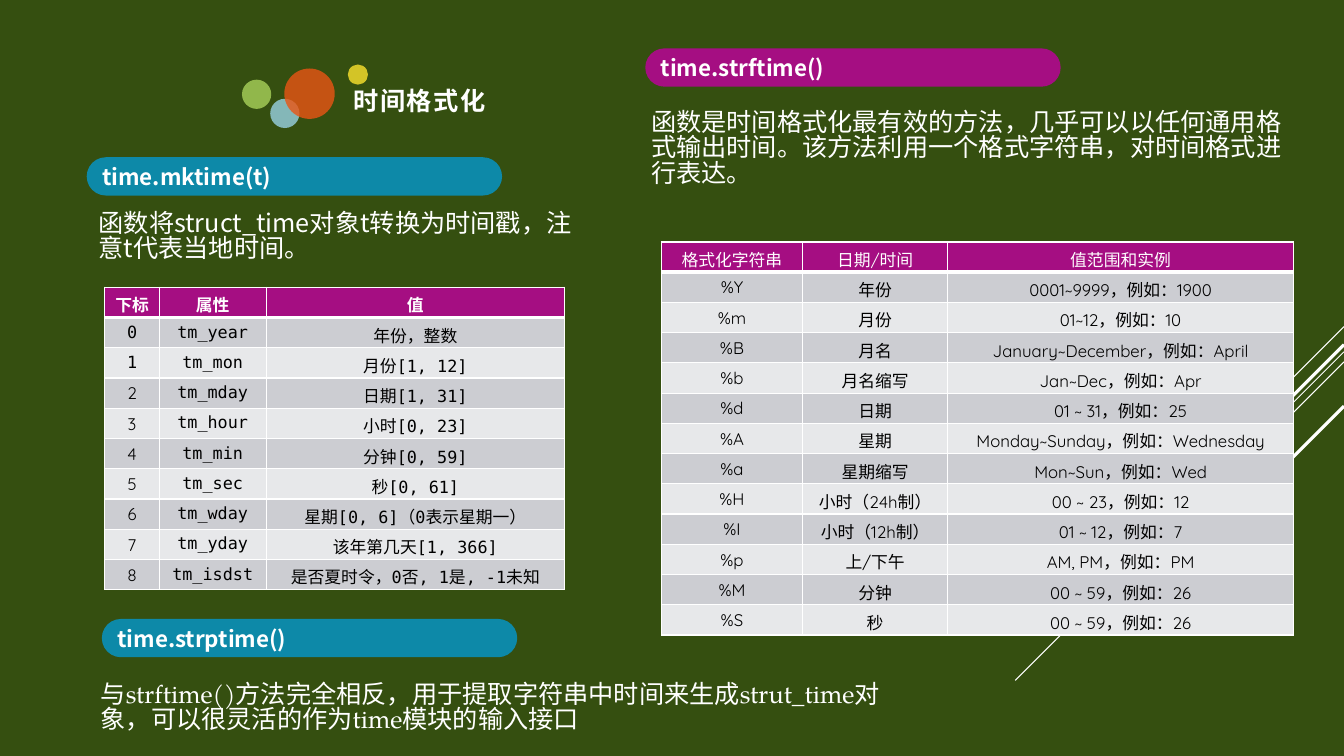
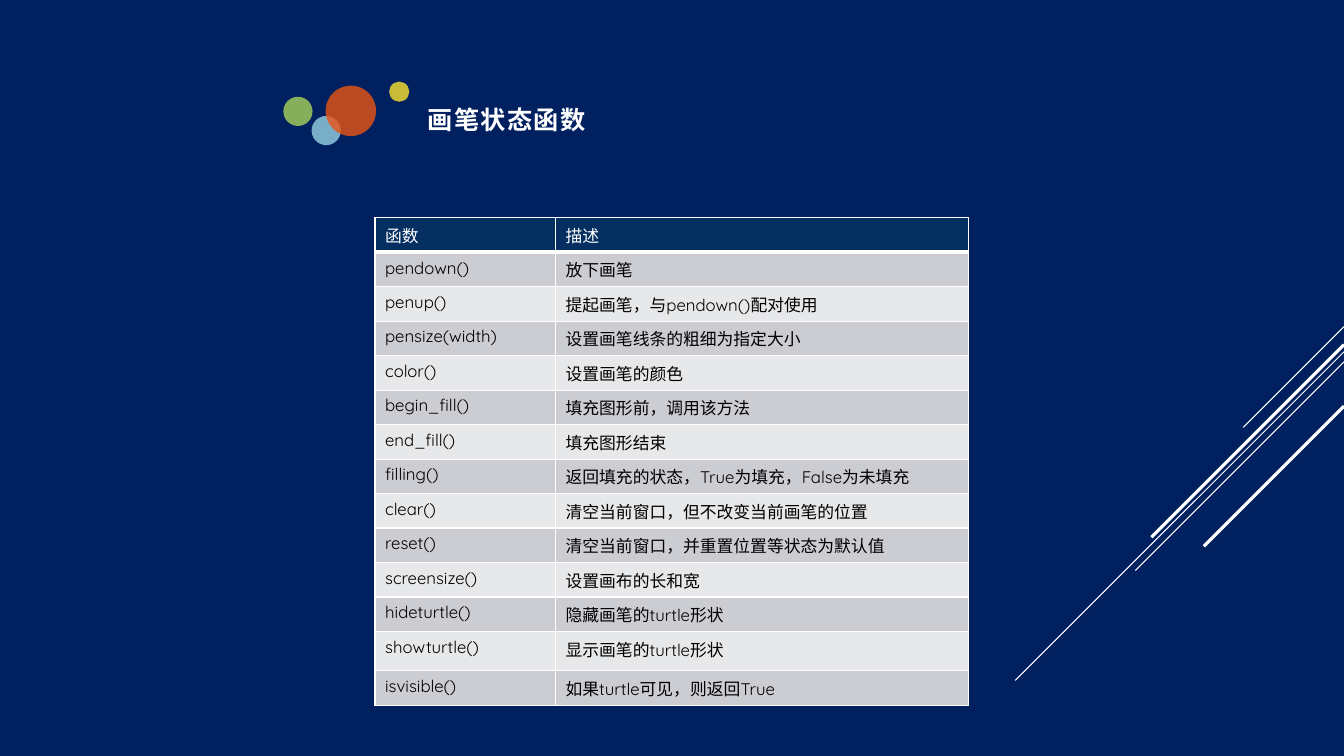
from dataclasses import dataclass, field
from itertools import groupby

from lxml import etree
from pptx import Presentation
from pptx import util as u
from pptx.dml.color import RGBColor
from pptx.enum import shapes, text
from pptx.oxml import ns
from pptx.shapes.autoshape import Shape
from pptx.slide import Slide
from pptx.table import _Cell as Cell
from pptx.text.text import TextFrame


@dataclass(frozen=True)
class Theme:
    white: str = "FFFFFF"
    black: str = "000000"
    green: str = "354F10"
    navy: str = "002060"
    magenta: str = "A50E82"
    teal: str = "0D89A8"
    navy_header: str = "052F61"
    bands: tuple[str, str] = ("CCCDD2", "E7E8EA")
    cjk: str = "Noto Sans CJK SC"
    sans: str = "Quicksand"
    mono: str = "DejaVu Sans Mono"
    serif: str = "TeX Gyre Pagella"
    title_size: float = 18
    body_size: float = 18
    pill_size: float = 16
    cell_size: float = 12
    line_spacing: float = 0.83


THEME = Theme()


@dataclass(frozen=True)
class Diagonal:
    start_y: float
    run: float
    weight: float


@dataclass(frozen=True)
class Bubble:
    dx: float
    dy: float
    diameter: float
    color: str


@dataclass(frozen=True)
class Pill:
    left: float
    top: float
    label: str
    color: str


@dataclass(frozen=True)
class Passage:
    left: float
    top: float
    width: float
    height: float
    words: str
    latin: str = THEME.cjk


@dataclass(frozen=True)
class Grid:
    left: float
    top: float
    columns: tuple[float, ...]
    row_height: float
    rows: list[tuple[str, ...]]
    header_color: str
    column_fonts: tuple[str, ...]
    header_bold: bool = False
    align: text.PP_ALIGN = text.PP_ALIGN.CENTER
    bottom_margin: float = 0.01
    tall_rows: dict[int, float] = field(default_factory=dict)
    font_exceptions: dict[str, str] = field(default_factory=dict)


SLIDE_WIDTH, SLIDE_HEIGHT = 13.33, 7.5
DIAGONALS = [
    Diagonal(3.24, 1.0, 0.75),
    Diagonal(3.49, 3.26, 0.75),
    Diagonal(3.59, 2.07, 0.75),
    Diagonal(3.42, 1.91, 2.25),
    Diagonal(4.03, 1.39, 2.25),
]
BUBBLES = [
    Bubble(1.05, 0, 0.2, "FBE22D"),
    Bubble(0, 0.15, 0.29, "A9D25A"),
    Bubble(0.28, 0.34, 0.29, "98D2E3"),
    Bubble(0.42, 0.04, 0.5, "EA5514"),
]

STRUCT_TIME = Grid(
    1.04, 2.85, (0.54, 1.06, 2.96), 0.3,
    [
        ("下标", "属性", "值"),
        ("0", "tm_year", "年份，整数"),
        ("1", "tm_mon", "月份[1, 12]"),
        ("2", "tm_mday", "日期[1, 31]"),
        ("3", "tm_hour", "小时[0, 23]"),
        ("4", "tm_min", "分钟[0, 59]"),
        ("5", "tm_sec", "秒[0, 61]"),
        ("6", "tm_wday", "星期[0, 6]（0表示星期一）"),
        ("7", "tm_yday", "该年第几天[1, 366]"),
        ("8", "tm_isdst", "是否夏时令，0否, 1是, -1未知"),
    ],
    THEME.magenta, (THEME.sans, THEME.mono, THEME.mono), header_bold=True,
    font_exceptions={"0": THEME.mono, "1": THEME.mono},
)
FORMAT_CODES = Grid(
    6.56, 2.4, (1.4, 1.44, 3.43), 0.3,
    [
        ("格式化字符串", "日期/时间", "值范围和实例"),
        ("%Y", "年份", "0001~9999，例如：1900"),
        ("%m", "月份", "01~12，例如：10"),
        ("%B", "月名", "January~December，例如：April"),
        ("%b", "月名缩写", "Jan~Dec，例如：Apr"),
        ("%d", "日期", "01 ~ 31，例如：25"),
        ("%A", "星期", "Monday~Sunday，例如：Wednesday"),
        ("%a", "星期缩写", "Mon~Sun，例如：Wed"),
        ("%H", "小时（24h制）", "00 ~ 23，例如：12"),
        ("%I", "小时（12h制）", "01 ~ 12，例如：7"),
        ("%p", "上/下午", "AM, PM，例如：PM"),
        ("%M", "分钟", "00 ~ 59，例如：26"),
        ("%S", "秒", "00 ~ 59，例如：26"),
    ],
    THEME.magenta, (THEME.sans,) * 3,
)
PEN_FUNCTIONS = Grid(
    3.72, 2.16, (1.79, 4.1), 0.34,
    [
        ("函数", "描述"),
        ("pendown()", "放下画笔"),
        ("penup()", "提起画笔，与pendown()配对使用"),
        ("pensize(width)", "设置画笔线条的粗细为指定大小"),
        ("color()", "设置画笔的颜色"),
        ("begin_fill()", "填充图形前，调用该方法"),
        ("end_fill()", "填充图形结束"),
        ("filling()", "返回填充的状态，True为填充，False为未填充"),
        ("clear()", "清空当前窗口，但不改变当前画笔的位置"),
        ("reset()", "清空当前窗口，并重置位置等状态为默认值"),
        ("screensize()", "设置画布的长和宽"),
        ("hideturtle()", "隐藏画笔的turtle形状"),
        ("showturtle()", "显示画笔的turtle形状"),
        ("isvisible()", "如果turtle可见，则返回True"),
    ],
    THEME.navy_header, (THEME.sans,) * 2, align=text.PP_ALIGN.LEFT,
    bottom_margin=0.05, tall_rows={12: 0.39},
)
PASSAGES = [
    Passage(6.36, 1.06, 6.67, 1.01,
            "函数是时间格式化最有效的方法，几乎可以以任何通用格式输出时间。"
            "该方法利用一个格式字符串，对时间格式进行表达。"),
    Passage(0.9, 6.73, 8.16, 0.71,
            "与strftime()方法完全相反，用于提取字符串中时间来生成strut_time对象，"
            "可以很灵活的作为time模块的输入接口", THEME.serif),
    Passage(0.88, 2.06, 4.91, 0.71,
            "函数将struct_time对象t转换为时间戳，注意t代表当地时间。"),
]
PILLS = [
    Pill(0.86, 1.56, "time.mktime(t)", THEME.teal),
    Pill(6.4, 0.48, "time.strftime()", THEME.magenta),
    Pill(1.01, 6.14, "time.strptime()", THEME.teal),
]


def is_cjk(char: str) -> bool:
    return ord(char) > 0x2E80


def write(frame: TextFrame, words: str, *, size: float, latin: str = THEME.cjk,
          color: str = THEME.white, bold: bool = False, tracking: float = 0,
          align: text.PP_ALIGN = text.PP_ALIGN.LEFT, spacing: float = 1.0) -> None:
    """Write one paragraph, with a run for each stretch of Latin or CJK text."""
    paragraph = frame.paragraphs[0]
    paragraph.alignment = align
    paragraph.line_spacing = spacing
    for cjk, chars in groupby(words, is_cjk):
        run = paragraph.add_run()
        run.text = "".join(chars)
        font = run.font
        font.size, font.bold = u.Pt(size), bold
        font.color.rgb = RGBColor.from_string(color)
        font.name = THEME.cjk if cjk else latin
        properties = run._r.get_or_add_rPr()
        etree.SubElement(properties, ns.qn("a:ea"), typeface=font.name)
        if tracking:
            properties.set("spc", str(round(tracking * 100)))


def add_filled(slide: Slide, kind: shapes.MSO_SHAPE, left: float, top: float,
               width: float, height: float, color: str) -> Shape:
    shape = slide.shapes.add_shape(kind, *map(u.Inches, (left, top, width, height)))
    shape.shadow.inherit = False
    shape.fill.solid()
    shape.fill.fore_color.rgb = RGBColor.from_string(color)
    shape.line.fill.background()
    return shape


def add_diagonal(slide: Slide, diagonal: Diagonal) -> None:
    line = slide.shapes.add_connector(
        shapes.MSO_CONNECTOR.STRAIGHT,
        u.Inches(SLIDE_WIDTH), u.Inches(diagonal.start_y),
        u.Inches(SLIDE_WIDTH - diagonal.run), u.Inches(diagonal.start_y + diagonal.run))
    line.line.color.rgb = RGBColor.from_string(THEME.white)
    line.line.width = u.Pt(diagonal.weight)
    etree.SubElement(line._element.spPr, ns.qn("a:effectLst"))


def add_bubbles(slide: Slide, left: float, top: float) -> None:
    for bubble in BUBBLES:
        circle = add_filled(slide, shapes.MSO_SHAPE.OVAL, left + bubble.dx, top + bubble.dy,
                            bubble.diameter, bubble.diameter, bubble.color)
        tint = circle._element.spPr.find(".//" + ns.qn("a:srgbClr"))
        etree.SubElement(tint, ns.qn("a:alpha"), val="80000")


def add_title(slide: Slide, title: str, left: float, top: float, width: float) -> None:
    box = slide.shapes.add_textbox(*map(u.Inches, (left, top, width, 0.3)))
    frame = box.text_frame
    frame.word_wrap = True
    frame.margin_left = frame.margin_right = frame.margin_top = frame.margin_bottom = 0
    write(frame, title, size=THEME.title_size, bold=True, tracking=1,
          spacing=THEME.line_spacing)


def add_passage(slide: Slide, passage: Passage) -> None:
    box = slide.shapes.add_textbox(*map(u.Inches, (
        passage.left, passage.top, passage.width, passage.height)))
    box.text_frame.word_wrap = True
    write(box.text_frame, passage.words, size=THEME.body_size, latin=passage.latin,
          spacing=THEME.line_spacing)


def add_pill(slide: Slide, pill: Pill) -> None:
    shape = add_filled(slide, shapes.MSO_SHAPE.ROUNDED_RECTANGLE,
                       pill.left, pill.top, 4.12, 0.38, pill.color)
    shape.adjustments[0] = 0.5
    frame = shape.text_frame
    frame.word_wrap = False
    frame.vertical_anchor = text.MSO_ANCHOR.MIDDLE
    write(frame, pill.label, size=THEME.pill_size, bold=True)


def set_borders(cell: Cell, **weights: float) -> None:
    """Draw white borders; weights are points for the sides L, R, T and B, in that order."""
    for side, weight in weights.items():
        border = etree.SubElement(cell._tc.get_or_add_tcPr(), ns.qn(f"a:ln{side}"),
                                  w=str(u.Pt(weight)))
        fill = etree.SubElement(border, ns.qn("a:solidFill"))
        etree.SubElement(fill, ns.qn("a:srgbClr"), val=THEME.white)


def add_grid(slide: Slide, grid: Grid) -> None:
    heights = [grid.tall_rows.get(i, grid.row_height) for i in range(len(grid.rows))]
    table = slide.shapes.add_table(
        len(grid.rows), len(grid.columns), u.Inches(grid.left), u.Inches(grid.top),
        u.Inches(sum(grid.columns)), u.Inches(sum(heights))).table
    for column, width in zip(table.columns, grid.columns):
        column.width = u.Inches(width)
    for i, (entries, height) in enumerate(zip(grid.rows, heights)):
        table.rows[i].height = u.Inches(height)
        header = i == 0
        for j, (entry, latin) in enumerate(zip(entries, grid.column_fonts)):
            cell = table.cell(i, j)
            cell.margin_top, cell.margin_bottom = u.Inches(0.05), u.Inches(grid.bottom_margin)
            set_borders(cell, L=1, R=1, T=3 if i == 1 else 1, B=3 if header else 1)
            cell.fill.solid()
            cell.fill.fore_color.rgb = RGBColor.from_string(
                grid.header_color if header else THEME.bands[(i - 1) % 2])
            write(cell.text_frame, entry, size=THEME.cell_size, align=grid.align,
                  latin=grid.font_exceptions.get(entry, latin),
                  color=THEME.white if header else THEME.black,
                  bold=header and grid.header_bold)


def add_slide(deck: Presentation, background: str) -> Slide:
    slide = deck.slides.add_slide(deck.slide_layouts[6])
    slide.background.fill.solid()
    slide.background.fill.fore_color.rgb = RGBColor.from_string(background)
    for diagonal in DIAGONALS:
        add_diagonal(slide, diagonal)
    return slide


def main() -> None:
    deck = Presentation()
    deck.slide_width, deck.slide_height = u.Inches(SLIDE_WIDTH), u.Inches(SLIDE_HEIGHT)

    time_format = add_slide(deck, THEME.green)
    add_bubbles(time_format, 2.4, 0.64)
    add_title(time_format, "时间格式化", 3.51, 0.9, 1.47)
    add_grid(time_format, STRUCT_TIME)
    add_grid(time_format, FORMAT_CODES)
    for passage in PASSAGES:
        add_passage(time_format, passage)
    for pill in PILLS:
        add_pill(time_format, pill)

    pen_state = add_slide(deck, THEME.navy)
    add_grid(pen_state, PEN_FUNCTIONS)
    add_bubbles(pen_state, 2.81, 0.81)
    add_title(pen_state, "画笔状态函数", 4.24, 1.09, 1.72)

    deck.save("out.pptx")


if __name__ == "__main__":
    main()
